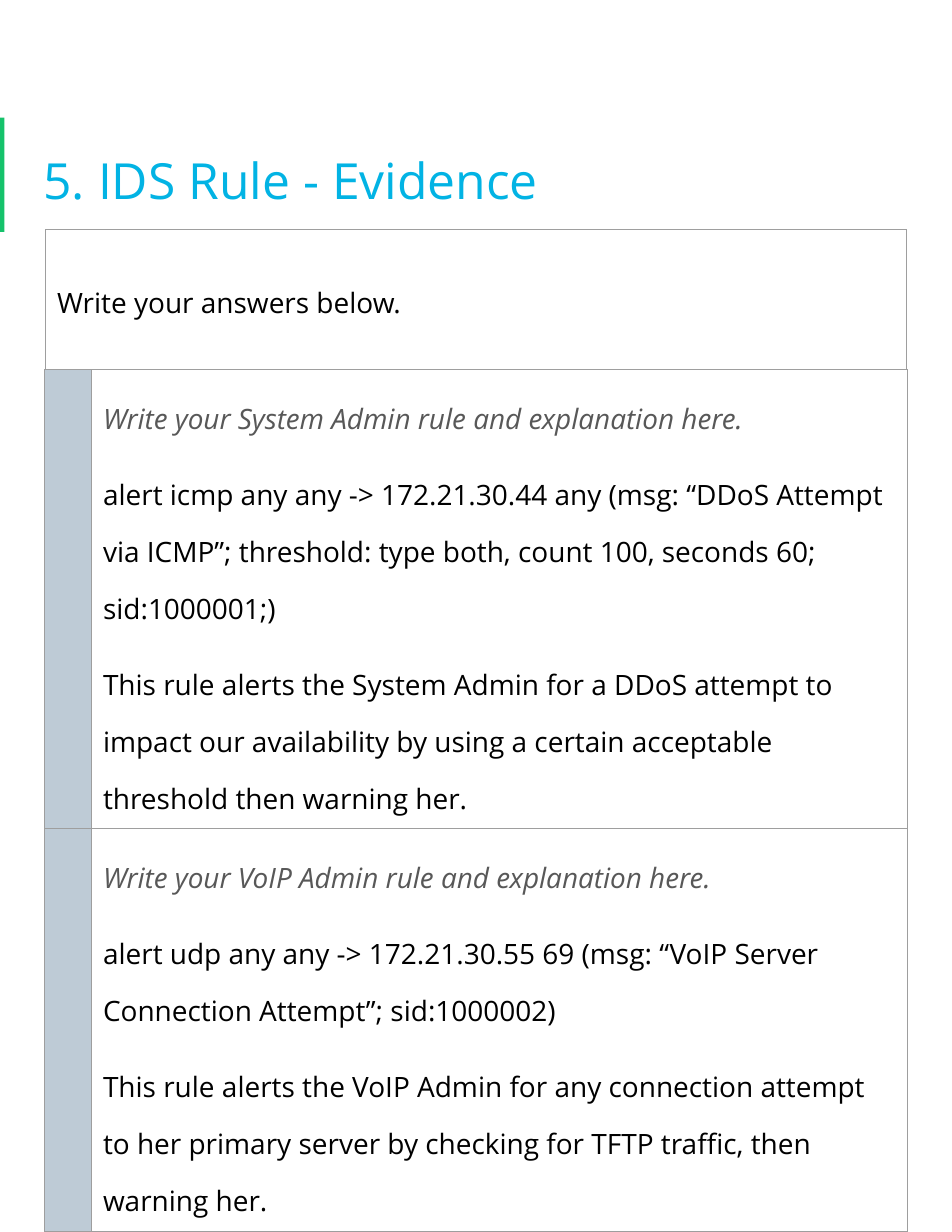
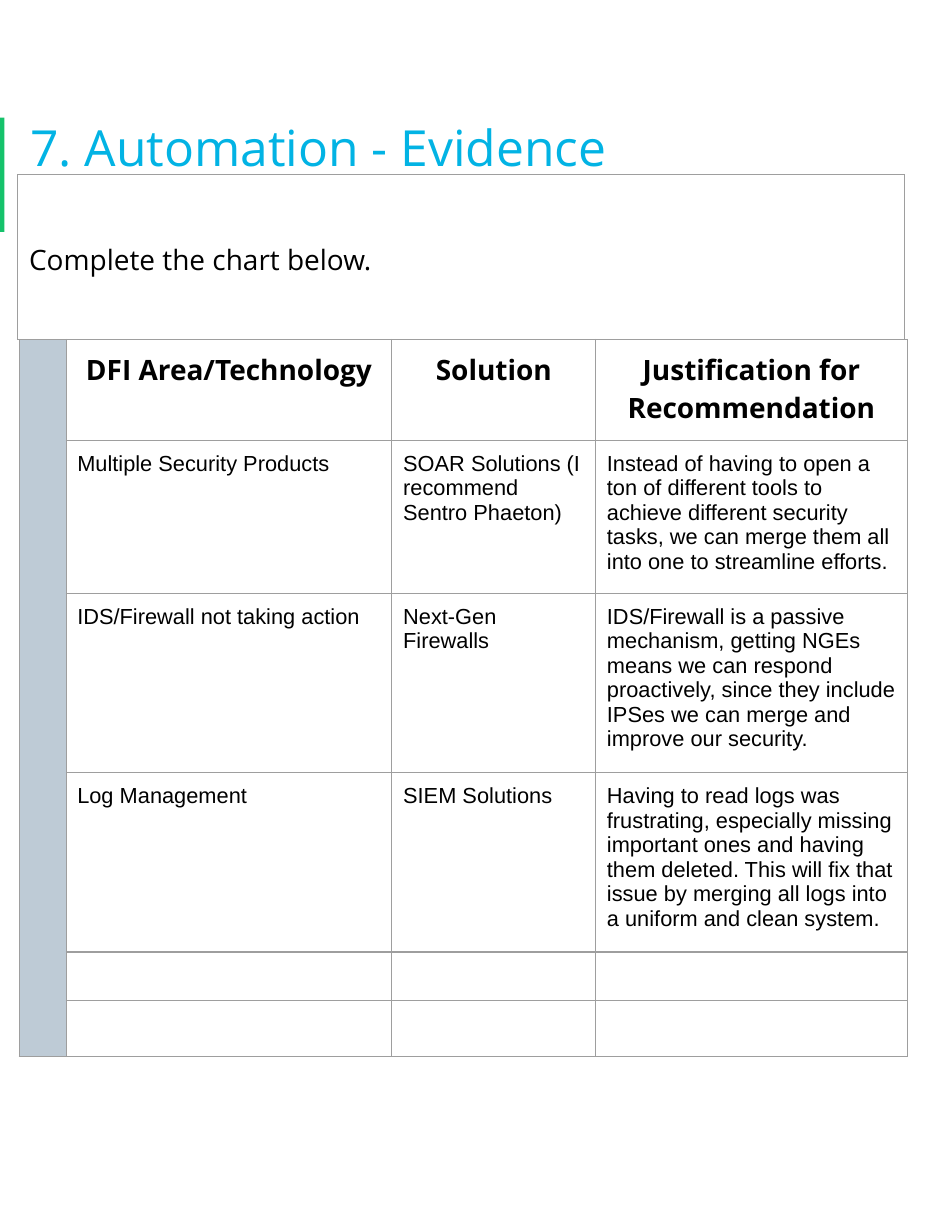
from lxml.etree import SubElement
from pptx import Presentation
from pptx.dml.color import RGBColor as RGB
from pptx.enum.shapes import MSO_SHAPE as SHAPE
from pptx.enum.text import MSO_ANCHOR as ANCHOR, PP_ALIGN as ALIGN
from pptx.oxml.ns import qn
from pptx.util import Inches, Pt

GREEN = RGB(0x15, 0xC2, 0x6B)
CYAN = RGB(0x02, 0xB3, 0xE4)
BLACK = RGB(0, 0, 0)
GREY = RGB(0x58, 0x58, 0x58)
STRIP = RGB(0xBE, 0xCB, 0xD6)
EDGE = RGB(0x9E, 0x9E, 0x9E)
SANS = "Open Sans"
PAD = 0.1
STRIP_W = 0.42

TITLE = dict(size=Pt(32), name=SANS, color=CYAN)
PLAIN = dict(size=Pt(18), name=SANS, color=BLACK)
HINT = PLAIN | dict(color=GREY, italic=True)
HEAD = PLAIN | dict(bold=True)
SMALL = dict(size=Pt(14), name="Arial", color=BLACK)

RULES = [
    ("Write your System Admin rule and explanation here.",
     "alert icmp any any -> 172.21.30.44 any (msg: “DDoS Attempt via ICMP”; "
     "threshold: type both, count 100, seconds 60; sid:1000001;)",
     "This rule alerts the System Admin for a DDoS attempt to impact our "
     "availability by using a certain acceptable threshold then warning her."),
    ("Write your VoIP Admin rule and explanation here.",
     "alert udp any any -> 172.21.30.55 69 (msg: “VoIP Server Connection "
     "Attempt”; sid:1000002)",
     "This rule alerts the VoIP Admin for any connection attempt to her "
     "primary server by checking for TFTP traffic, then warning her."),
]
CHART = [
    ("DFI Area/Technology", "Solution", "Justification for Recommendation"),
    ("Multiple Security Products",
     "SOAR Solutions (I recommend Sentro Phaeton)",
     "Instead of having to open a ton of different tools to achieve different "
     "security tasks, we can merge them all into one to streamline efforts."),
    ("IDS/Firewall not taking action", "Next-Gen Firewalls",
     "IDS/Firewall is a passive mechanism, getting NGEs means we can respond "
     "proactively, since they include IPSes we can merge and improve our "
     "security."),
    ("Log Management", "SIEM Solutions",
     "Having to read logs was frustrating, especially missing important ones "
     "and having them deleted. This will fix that issue by merging all logs "
     "into a uniform and clean system."),
    ("", "", ""),
    ("", "", ""),
]


def write(para, text, style, **layout):
    for key, val in layout.items():
        setattr(para, key, val)
    if not text:
        SubElement(para._p, qn("a:endParaRPr"), sz=str(int(style["size"].pt * 100)))
        return
    run = para.add_run()
    run.text = text
    for key, val in style.items():
        if key == "color":
            run.font.color.rgb = val
        else:
            setattr(run.font, key, val)


def pad(box):
    """Give a cell or text frame equal inner margins."""
    for side in ("left", "top", "right", "bottom"):
        setattr(box, "margin_" + side, Inches(PAD))


def outline(cell):
    props = cell._tc.get_or_add_tcPr()
    for side in "LRTB":
        line = SubElement(props, qn("a:ln" + side), w=str(Pt(0.75)))
        fill = SubElement(line, qn("a:solidFill"))
        SubElement(fill, qn("a:srgbClr"), val=str(EDGE))


def add_grid(slide, left, top, cols, rows):
    """Add a plain outlined table with the given column and row sizes."""
    grid = slide.shapes.add_table(
        len(rows), len(cols), Inches(left), Inches(top),
        Inches(sum(cols)), Inches(sum(rows))).table
    grid.first_row = grid.horz_banding = False
    for col, width in zip(grid.columns, cols):
        col.width = Inches(width)
    for row, height in zip(grid.rows, rows):
        row.height = Inches(height)
    for cell in grid.iter_cells():
        pad(cell)
        outline(cell)
        cell.fill.background()
    return grid


def tint(cell):
    cell.fill.solid()
    cell.fill.fore_color.rgb = STRIP


def add_title(slide, left, top, text):
    bar = slide.shapes.add_shape(
        SHAPE.RECTANGLE, 0, Inches(1.05), Inches(0.04), Inches(1.02))
    bar.shadow.inherit = False
    bar.fill.solid()
    bar.fill.fore_color.rgb = GREEN
    bar.line.fill.background()
    frame = slide.shapes.add_textbox(
        Inches(left), Inches(top), Inches(7.92), Inches(1.22)).text_frame
    frame.word_wrap = True
    frame.vertical_anchor = ANCHOR.MIDDLE
    pad(frame)
    write(frame.paragraphs[0], text, TITLE, line_spacing=1.15)


def add_prompt(slide, left, top, cols, height, text):
    """Add the one-row task line above the answers."""
    grid = add_grid(slide, left, top, cols, [height])
    cell = grid.cell(0, 0)
    cell.merge(grid.cell(0, len(cols) - 1))
    cell.vertical_anchor = ANCHOR.MIDDLE
    write(cell.text_frame.paragraphs[0], text, PLAIN, line_spacing=1.15)


def add_rules(slide, left, top):
    grid = add_grid(slide, left, top, [STRIP_W, 7.28], [4.1, 3.6])
    for row, texts in enumerate(RULES):
        tint(grid.cell(row, 0))
        frame = grid.cell(row, 1).text_frame
        write(frame.paragraphs[0], texts[0], HINT, line_spacing=1.5)
        for text in texts[1:]:
            write(frame.add_paragraph(), text, PLAIN,
                  line_spacing=1.5, space_before=Pt(12))


def add_chart_grid(slide, left, top):
    grid = add_grid(slide, left, top, [STRIP_W, 2.91, 1.82, 2.78],
                    [0.9, 1.29, 1.51, 1.51, 0.43, 0.43])
    tint(grid.cell(0, 0))
    grid.cell(0, 0).merge(grid.cell(len(CHART) - 1, 0))
    for row, texts in enumerate(CHART):
        style, align = (SMALL, ALIGN.LEFT) if row else (HEAD, ALIGN.CENTER)
        for col, text in enumerate(texts, 1):
            para = grid.cell(row, col).text_frame.paragraphs[0]
            write(para, text, style, alignment=align)


def main():
    deck = Presentation()
    deck.slide_width, deck.slide_height = Inches(8.5), Inches(11)
    blank = deck.slide_layouts[6]

    slide = deck.slides.add_slide(blank)
    add_title(slide, 0.29, 0.95, "5. IDS Rule - Evidence")
    add_prompt(slide, 0.41, 2.05, [0.26, 3.71, 3.71], 1.25,
               "Write your answers below.")
    add_rules(slide, 0.4, 3.3)

    slide = deck.slides.add_slide(blank)
    add_title(slide, 0.17, 0.66, "7. Automation - Evidence")
    add_prompt(slide, 0.16, 1.56, [0.26, 1.53, 1.53, 0.42, 1.76, 2.42], 1.47,
               "Complete the chart below.")
    add_chart_grid(slide, 0.17, 3.03)

    deck.save("out.pptx")


if __name__ == "__main__":
    main()
